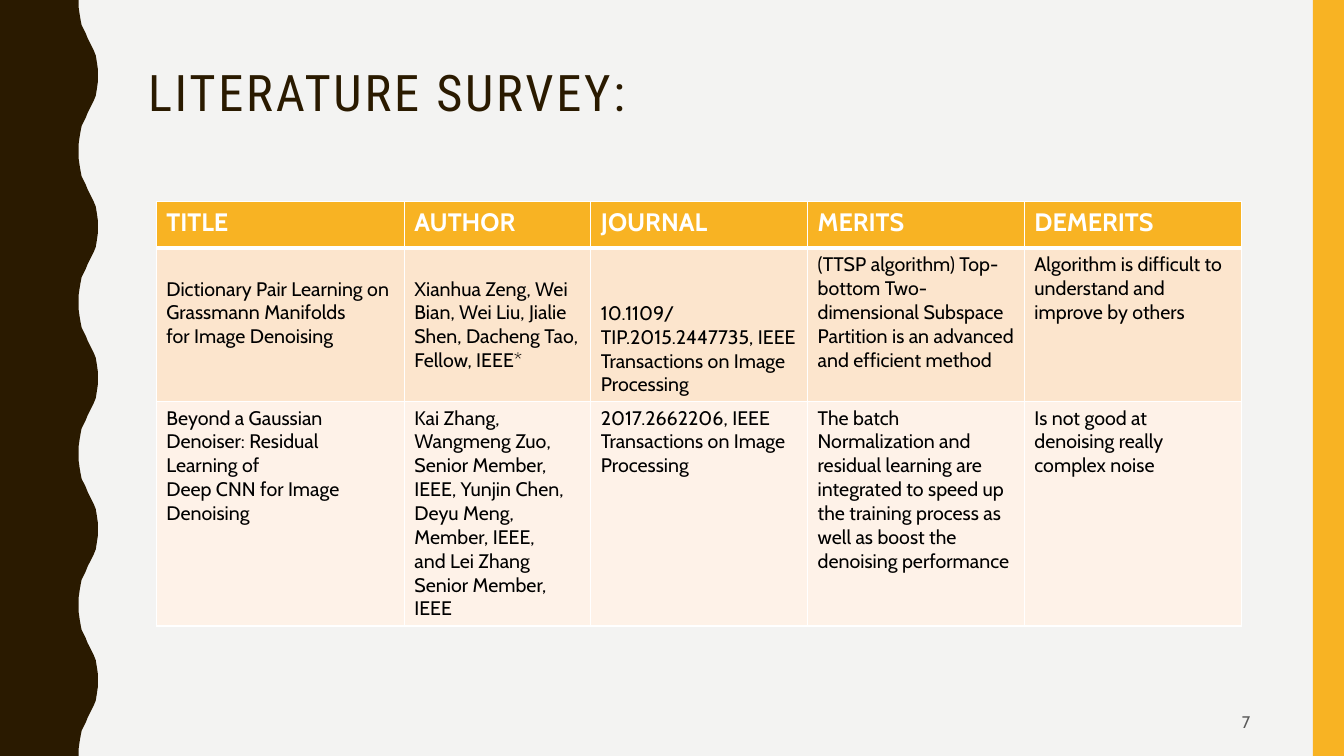
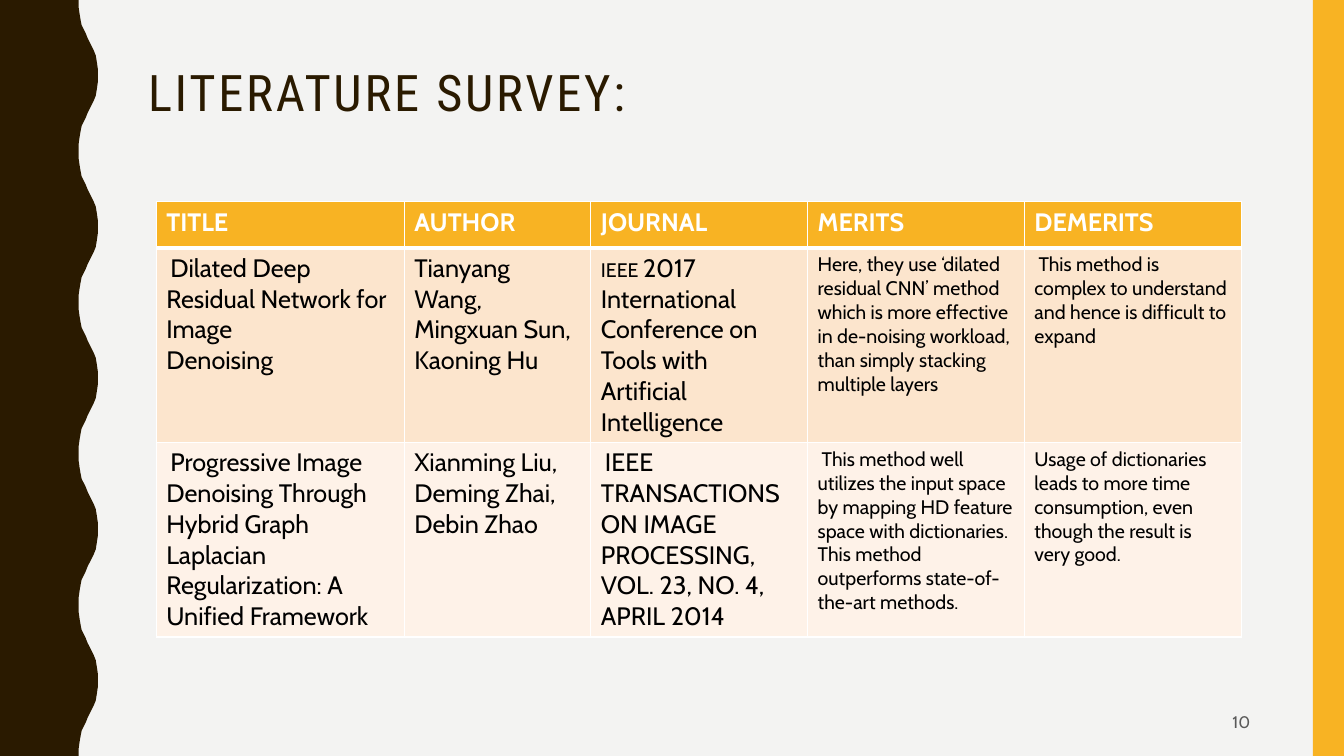
from dataclasses import dataclass

from lxml import etree
from pptx import Presentation
from pptx.dml.color import RGBColor
from pptx.enum.shapes import MSO_SHAPE
from pptx.enum.text import MSO_ANCHOR, PP_ALIGN
from pptx.oxml.ns import qn
from pptx.util import Pt

EMU_PER_PX = 9144
RECTANGLE = MSO_SHAPE.RECTANGLE
TOP, MIDDLE = MSO_ANCHOR.TOP, MSO_ANCHOR.MIDDLE
LEFT, RIGHT = PP_ALIGN.LEFT, PP_ALIGN.RIGHT
BLANK_LAYOUT = 6

SLIDE_WIDTH, SLIDE_HEIGHT = 1333, 750
WAVE_PERIOD = 150
HALF_WAVE = [(78, 0), (78, 7), (79, 14), (80, 20), (81, 25), (83, 29), (85, 33), (87, 38),
             (89, 42), (91, 46), (93, 50), (95, 55), (96, 61), (97, 68), (97, 75)]
COLUMN_WIDTHS = [246, 185, 215, 215, 215]
HEADER_HEIGHT = 46
CELL_MARGIN = 5
BODY_LINE = 24
SPACE_INDENT = 4
HEADERS = ["TITLE", "AUTHOR", "JOURNAL", "MERITS", "DEMERITS"]


@dataclass(frozen=True)
class Theme:
    """Colours, fonts and type sizes shared by the slides."""
    background: str = "F3F3F2"
    dark: str = "2A1A00"
    accent: str = "F8B323"
    row_fills: tuple = ("FCE5CD", "FEF2E8")
    white: str = "FFFFFF"
    black: str = "000000"
    grey: str = "595959"
    heading_font: str = "Roboto Condensed"
    body_font: str = "Cabin"
    title_size: int = 36
    large_size: int = 18
    body_size: int = 14
    number_size: int = 12


THEME = Theme()


@dataclass(frozen=True)
class Entry:
    """Text of one table cell, with its size and its offsets."""
    text: str
    size: int = THEME.body_size
    lines_above: int = 0
    indent: int = 0
    small_lead: str = ""


def large(text, **options):
    """Return an entry in the larger type size."""
    return Entry(text, size=THEME.large_size, **options)


SURVEYS = [
    ("7", [152, 223], [
        [Entry("Dictionary Pair Learning on Grassmann Manifolds\nfor Image Denoising", lines_above=1),
         Entry("Xianhua Zeng, Wei Bian, Wei Liu, Jialie Shen, Dacheng Tao, Fellow, IEEE*", lines_above=1),
         Entry("10.1109/TIP.2015.2447735, IEEE Transactions on Image Processing", lines_above=2),
         Entry("(TTSP algorithm) Top-bottom Two-dimensional Subspace Partition is an advanced "
               "and efficient method"),
         Entry("Algorithm is difficult to understand and improve by others")],
        [Entry("Beyond a Gaussian Denoiser: Residual Learning of\nDeep CNN for Image Denoising"),
         Entry("Kai Zhang, Wangmeng Zuo, Senior Member, IEEE, Yunjin Chen, Deyu Meng, Member, IEEE,\n"
               "and Lei Zhang Senior Member, IEEE"),
         Entry("2017.2662206, IEEE\nTransactions on Image Processing"),
         Entry("The batch Normalization and residual learning are integrated to speed up the training "
               "process as well as boost the denoising performance"),
         Entry("Is not good at denoising really complex noise")],
    ]),
    ("10", [193, 193], [
        [large("Dilated Deep Residual Network for Image\nDenoising", indent=SPACE_INDENT),
         large("Tianyang Wang,\nMingxuan Sun,\nKaoning Hu"),
         large("2017 International Conference on Tools with Artificial Intelligence", small_lead="IEEE "),
         Entry("Here, they use ‘dilated residual CNN’ method which is more effective in de-noising "
               "workload, than simply stacking multiple layers"),
         Entry("This method is complex to understand and hence is difficult to expand",
               indent=SPACE_INDENT)],
        [large("Progressive Image Denoising Through Hybrid Graph\n"
               "Laplacian Regularization: A Unified Framework", indent=SPACE_INDENT),
         large("Xianming Liu,\nDeming Zhai,\nDebin Zhao"),
         large("IEEE TRANSACTIONS ON IMAGE PROCESSING, VOL. 23, NO. 4, APRIL 2014", indent=SPACE_INDENT),
         Entry("This method well utilizes the input space by mapping HD feature space with "
               "dictionaries.\nThis method outperforms state-of-the-art methods.", indent=SPACE_INDENT),
         Entry("Usage of dictionaries leads to more time consumption, even though the result is "
               "very good.")],
    ]),
]


def px(length):
    """Convert px to EMU."""
    return length * EMU_PER_PX


def set_font(font, size, color, name=THEME.body_font, bold=False):
    """Set the typeface, size, weight and colour of a font."""
    font.name, font.size, font.bold = name, Pt(size), bold
    font.color.rgb = RGBColor.from_string(color)


def paint(shape, color):
    """Give a shape a plain fill without line or shadow."""
    shape.fill.solid()
    shape.fill.fore_color.rgb = RGBColor.from_string(color)
    shape.line.fill.background()
    shape.shadow.inherit = False


def add_wave(slide):
    """Draw the dark left band with its wavy edge."""
    falling = [(x, WAVE_PERIOD - y) for x, y in reversed(HALF_WAVE[:-1])]
    edge = [(x, y + top) for top in range(0, SLIDE_HEIGHT, WAVE_PERIOD)
            for x, y in HALF_WAVE + falling]
    builder = slide.shapes.build_freeform(0, 0, scale=EMU_PER_PX)
    builder.add_line_segments(edge + [(0, SLIDE_HEIGHT)], close=True)
    paint(builder.convert_to_shape(), THEME.dark)


def add_band(slide):
    """Draw the accent band on the right."""
    band = slide.shapes.add_shape(RECTANGLE, px(1302), 0, px(31), px(SLIDE_HEIGHT))
    paint(band, THEME.accent)


def add_text(slide, text, box, anchor, alignment):
    """Add a wrapping text box and return its paragraph."""
    frame = slide.shapes.add_textbox(*map(px, box)).text_frame
    frame.word_wrap = True
    frame.vertical_anchor = anchor
    paragraph = frame.paragraphs[0]
    paragraph.text = text
    paragraph.alignment = alignment
    return paragraph


def add_title(slide, text):
    """Add the letter-spaced slide title."""
    paragraph = add_text(slide, text, (137, 63, 1113, 163), TOP, LEFT)
    paragraph.line_spacing = 0.9
    set_font(paragraph.font, THEME.title_size, THEME.dark, THEME.heading_font)
    paragraph.runs[0]._r.get_or_add_rPr().set("spc", "200")


def add_number(slide, number):
    """Add the slide number at the bottom right."""
    paragraph = add_text(slide, number, (942, 697, 308, 38), MIDDLE, RIGHT)
    set_font(paragraph.font, THEME.number_size, THEME.grey)


def set_borders(cell, top, bottom):
    """Draw white cell borders, with top and bottom widths in points."""
    properties = cell._tc.get_or_add_tcPr()
    widths = {"a:lnL": 1, "a:lnR": 1, "a:lnT": top, "a:lnB": bottom}
    for position, (tag, width) in enumerate(widths.items()):
        line = etree.Element(qn(tag), w=str(Pt(width)))
        fill = etree.SubElement(line, qn("a:solidFill"))
        etree.SubElement(fill, qn("a:srgbClr"), val=THEME.white)
        properties.insert(position, line)


def fill_cell(cell, entry, fill, color, bold=False, top=1, bottom=1):
    """Write an entry into a cell and set its fill and borders."""
    cell.text = entry.text
    cell.margin_top = px(CELL_MARGIN + entry.lines_above * BODY_LINE)
    cell.fill.solid()
    cell.fill.fore_color.rgb = RGBColor.from_string(fill)
    set_borders(cell, top, bottom)
    paragraphs = cell.text_frame.paragraphs
    if entry.indent:
        paragraphs[0]._p.get_or_add_pPr().set("indent", str(px(entry.indent)))
    for paragraph in paragraphs:
        set_font(paragraph.font, entry.size, color, bold=bold)
    if entry.small_lead:
        paragraphs[0].runs[0].text = entry.small_lead
        paragraphs[0].runs[0].font.size = Pt(THEME.body_size)
        paragraphs[0].add_run().text = entry.text


def add_survey_table(slide, row_heights, rows):
    """Add the table of surveyed papers."""
    heights = [HEADER_HEIGHT] + row_heights
    frame = slide.shapes.add_table(len(heights), len(COLUMN_WIDTHS), px(155), px(200),
                                   px(sum(COLUMN_WIDTHS)), px(sum(heights)))
    table = frame.table
    table.horz_banding = False
    for column, width in zip(table.columns, COLUMN_WIDTHS):
        column.width = px(width)
    for row, height in zip(table.rows, heights):
        row.height = px(height)
    for cell, header in zip(table.rows[0].cells, HEADERS):
        fill_cell(cell, large(header), THEME.accent, THEME.white, bold=True, bottom=3)
    for index, (entries, fill) in enumerate(zip(rows, THEME.row_fills), start=1):
        for cell, entry in zip(table.rows[index].cells, entries):
            fill_cell(cell, entry, fill, THEME.black, top=3 if index == 1 else 1)


def add_survey_slide(presentation, number, row_heights, rows):
    """Add one literature survey slide."""
    slide = presentation.slides.add_slide(presentation.slide_layouts[BLANK_LAYOUT])
    add_wave(slide)
    add_band(slide)
    add_title(slide, "LITERATURE SURVEY:")
    add_number(slide, number)
    add_survey_table(slide, row_heights, rows)


def main():
    """Build and save the presentation."""
    presentation = Presentation()
    presentation.slide_width, presentation.slide_height = px(SLIDE_WIDTH), px(SLIDE_HEIGHT)
    background = presentation.slide_master.background.fill
    background.solid()
    background.fore_color.rgb = RGBColor.from_string(THEME.background)
    for number, row_heights, rows in SURVEYS:
        add_survey_slide(presentation, number, row_heights, rows)
    presentation.save("out.pptx")


if __name__ == "__main__":
    main()
